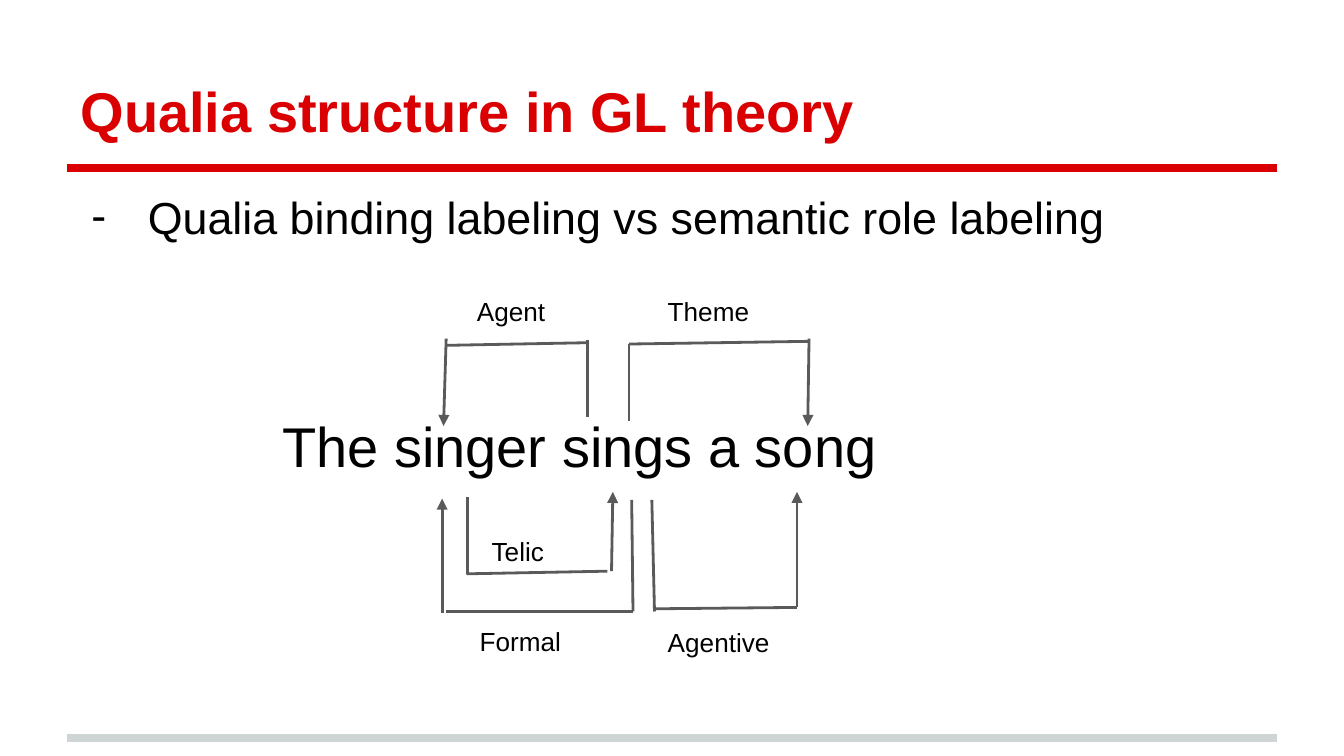
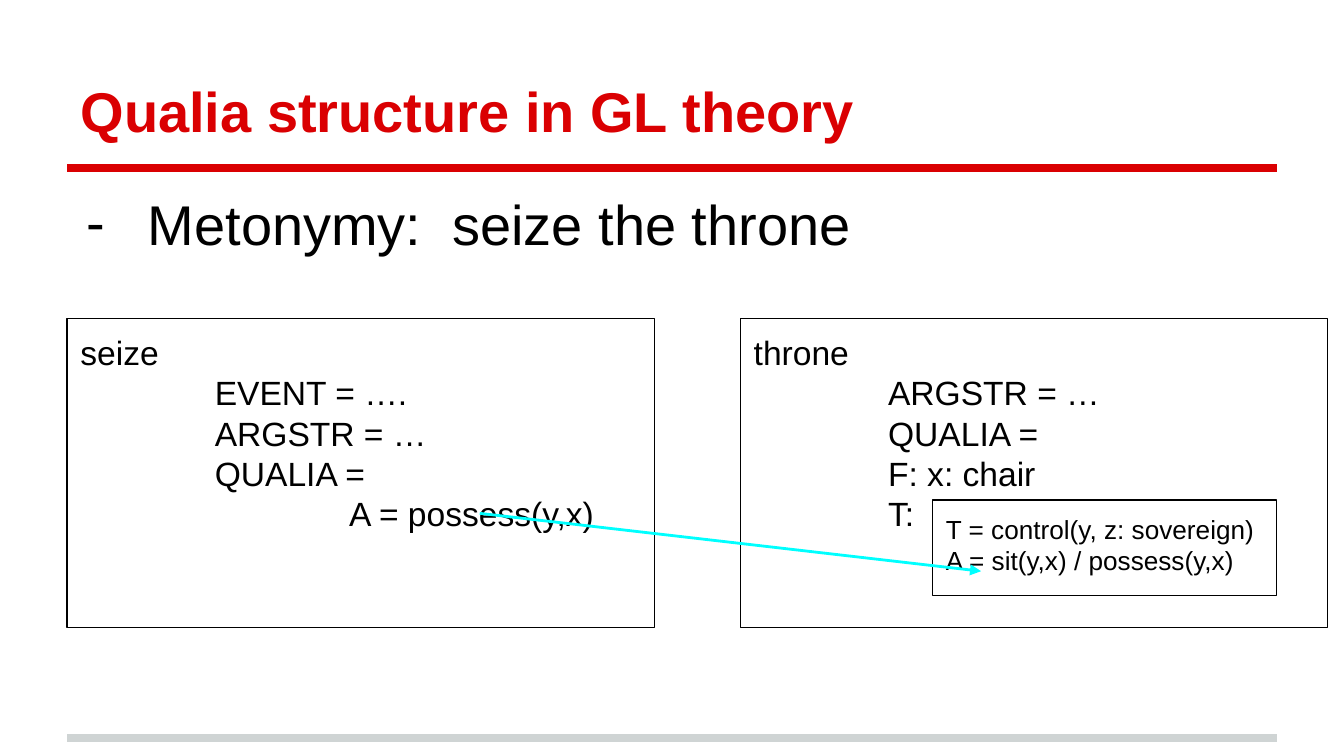
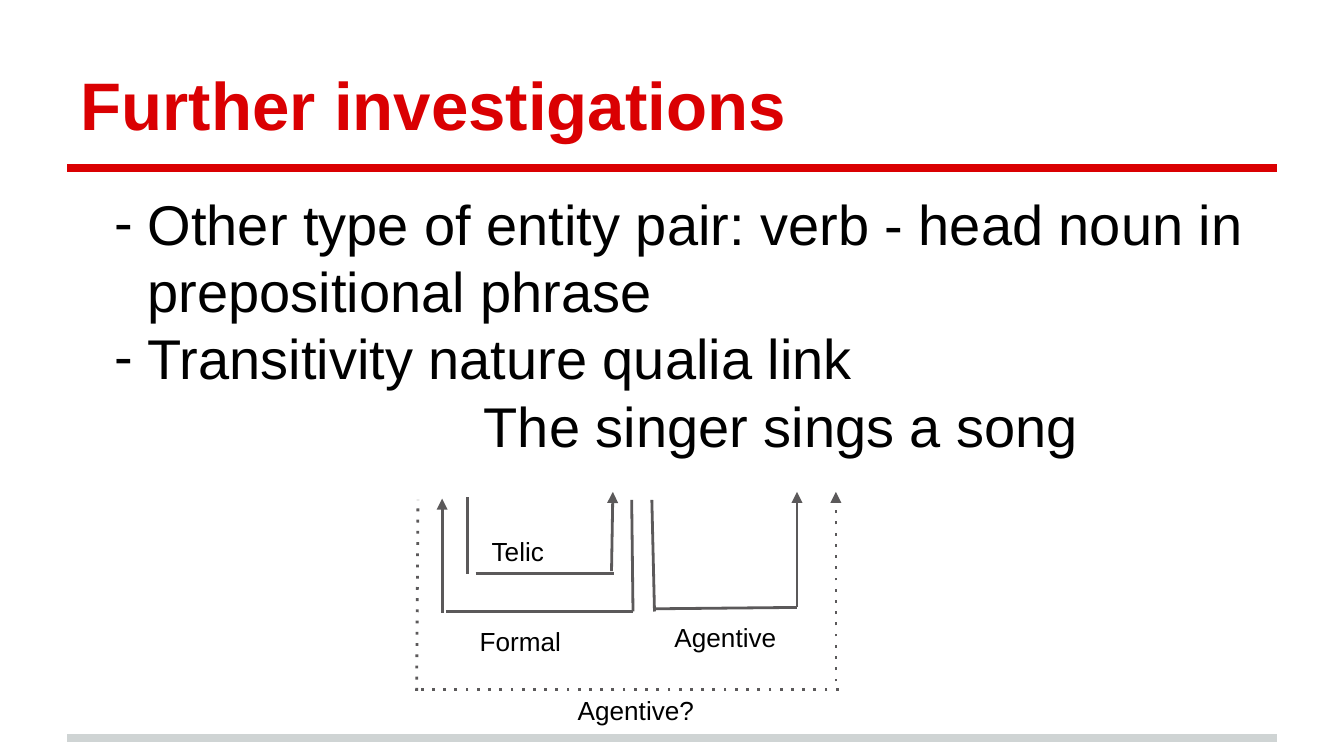
from lxml import etree
from pptx import Presentation
from pptx.dml.color import RGBColor
from pptx.enum.shapes import MSO_CONNECTOR, MSO_SHAPE
from pptx.enum.text import MSO_ANCHOR, MSO_AUTO_SIZE, PP_ALIGN
from pptx.oxml.ns import qn
from pptx.util import Inches, Pt

RED = RGBColor(0xDA, 0x00, 0x02)
PALE = RGBColor(0xCF, 0xD4, 0xD4)
GRAY = RGBColor(0x5B, 0x59, 0x5A)
CYAN = RGBColor(0x00, 0xFF, 0xFF)
BLACK = RGBColor(0, 0, 0)
FONT = "Arial"
STRAIGHT = MSO_CONNECTOR.STRAIGHT
RECT = MSO_SHAPE.RECTANGLE
TOP, BOTTOM = MSO_ANCHOR.TOP, MSO_ANCHOR.BOTTOM
LEFT = PP_ALIGN.LEFT
FIXED = MSO_AUTO_SIZE.NONE

WIDE, HIGH = 10, 5.625
EDGE, SPAN = WIDE * 0.05, WIDE * 0.9
RULES = [(1.25, RED), (5.49, PALE)]
FRAMES = [(EDGE, 0.23, SPAN, 0.94), (EDGE, 1.31, SPAN, 4.07)]

SONG = "The singer sings a song"
QUALIA = "Qualia structure in GL theory"
# text, size, margin, indent, space before
PAGES = [
    (QUALIA, 30, [
        ("Qualia binding labeling vs semantic role labeling", 24, 0.5, -0.42, 6),
        (SONG, 30, 1, 0.5, 90)]),
    (QUALIA, 30, [("Metonymy:  seize the throne", 30, 0.5, -0.46, 6)]),
    ("Further investigations", 36, [
        ("Other type of entity pair: verb - head noun in prepositional phrase",
         30, 0.5, -0.25, 0),
        ("Transitivity nature qualia link", 30, 0.5, -0.25, 0),
        (SONG, 30, 3, 0, 0)]),
]

LOW = [
    ((3.32, 4.55), (4.71, 4.55)), ((4.7, 3.72), (4.71, 4.55)),
    ((4.85, 3.72), (4.87, 4.55)), ((4.87, 4.53), (5.93, 4.52)),
    ((3.48, 3.7), (3.48, 4.27)),
]
LOW_TIPS = [
    ((3.29, 4.56), (3.29, 3.71)), ((5.93, 4.52), (5.93, 3.66)),
    ((4.55, 4.25), (4.56, 3.66)),
]
HIGH_ROLES = [
    ((4.68, 2.56), (4.68, 3.13)), ((3.32, 2.57), (4.37, 2.55)),
    ((4.68, 2.56), (6.02, 2.54)), ((4.37, 2.53), (4.37, 3.1)),
]
HIGH_TIPS = [((3.32, 2.52), (3.3, 3.17)), ((6.02, 2.52), (6.01, 3.17))]
TELIC = [((3.47, 4.27), (4.52, 4.25)), ((3.54, 4.27), (4.57, 4.27))]
DOTS = [((6.24, 5.13), (3.1, 5.13)), ((3.1, 5.14), (3.11, 3.72))]
DOT_TIP = ((6.22, 5.07), (6.22, 3.66))

NAMES = [("Formal", 3.47, 4.55, 0.91), ("Telic", 3.56, 3.88, 0.91)]
ROLES = [("Agent", 3.45, 2.1, 0.78), ("Theme", 4.87, 2.1, 0.96),
         ("Agentive", 4.87, 4.56, 1.06)]
GUESS = [("Agentive", 4.92, 4.52, 1.06), ("Agentive?", 4.2, 5.07, 1.33)]

BOXES = [
    ((0.5, 2.37, 4.37, 2.3), 18, [
        ("seize", 0), ("EVENT = ….", 1), ("ARGSTR = …", 1),
        ("QUALIA =", 1), ("A = possess(y,x)", 2)]),
    ((5.51, 2.37, 4.37, 2.3), 18, [
        ("throne", 0), ("ARGSTR = …", 1), ("QUALIA =", 1),
        ("F: x: chair", 1), ("T:", 1)]),
    ((6.94, 3.72, 2.56, 0.71), 14, [
        ("T = control(y, z: sovereign)", 0),
        ("A = sit(y,x) / possess(y,x)", 0)]),
]
BIND = ((3.57, 3.82), (7.3, 4.25))


def place(shape, frame):
    shape.left, shape.top, shape.width, shape.height = map(Inches, frame)


def setup(shape, anchor=TOP):
    frame = shape.text_frame
    frame.word_wrap = True
    frame.auto_size = FIXED
    frame.vertical_anchor = anchor
    frame.margin_left = frame.margin_right = Inches(0.1)
    frame.margin_top = frame.margin_bottom = Inches(0.1)
    return frame


def style(para, size, color=BLACK, bold=False):
    para.alignment = LEFT
    for run in para.runs:
        font = run.font
        font.name, font.size, font.bold = FONT, Pt(size), bold
        font.color.rgb = color


def indent(para, margin, first=0):
    props = para._p.get_or_add_pPr()
    props.set("marL", str(Inches(margin)))
    props.set("indent", str(Inches(first)))
    return props


def mark(props, dash):
    if not dash:
        etree.SubElement(props, qn("a:buNone"))
        return
    tint = etree.SubElement(props, qn("a:buClr"))
    etree.SubElement(tint, qn("a:srgbClr"), val=str(BLACK))
    etree.SubElement(props, qn("a:buFont"), typeface=FONT)
    etree.SubElement(props, qn("a:buChar"), char="-")


def link(slide, ends, color=GRAY, width=1.5, tip=False, dots=False):
    start, end = ends
    line = slide.shapes.add_connector(STRAIGHT, *map(Inches, start + end))
    line.line.color.rgb = color
    line.line.width = Pt(width)
    stroke = line.line._get_or_add_ln()
    if dots:
        etree.SubElement(stroke, qn("a:prstDash"), val="dot")
    if tip:
        etree.SubElement(stroke, qn("a:tailEnd"), type="triangle")
    etree.SubElement(line._element.spPr, qn("a:effectLst"))


def label(slide, text, left, top, width):
    box = slide.shapes.add_textbox(*map(Inches, (left, top, width, 0.42)))
    frame = setup(box)
    frame.text = text
    style(frame.paragraphs[0], 14)


def panel(slide, frame, size, rows):
    box = slide.shapes.add_shape(RECT, *map(Inches, frame))
    box.shadow.inherit = False
    box.fill.background()
    box.line.color.rgb = BLACK
    box.line.width = Pt(0.75)
    body = setup(box)
    body.text = "\n".join(text for text, _ in rows)
    for para, (_, level) in zip(body.paragraphs, rows):
        indent(para, level)
        style(para, size)


def base(deck, title, size, items):
    slide = deck.slides.add_slide(deck.slide_layouts[1])
    for y, color in RULES:
        link(slide, ((EDGE, y), (EDGE + SPAN, y)), color, 4)
    head, body = slide.placeholders
    for shape, frame in zip((head, body), FRAMES):
        place(shape, frame)
    frame = setup(head, BOTTOM)
    frame.text = title
    style(frame.paragraphs[0], size, RED, True)
    frame = setup(body)
    frame.text = "\n".join(item[0] for item in items)
    for para, (_, size, margin, first, gap) in zip(frame.paragraphs, items):
        style(para, size)
        para.space_before = Pt(gap)
        mark(indent(para, margin, first), first < 0)
    return slide


def graph(slide, lines, tips, names):
    for ends in LOW + lines:
        link(slide, ends)
    for ends in LOW_TIPS + tips:
        link(slide, ends, tip=True)
    for name in NAMES + names:
        label(slide, *name)


def main():
    deck = Presentation()
    deck.slide_width, deck.slide_height = Inches(WIDE), Inches(HIGH)
    roles, throne, plans = [base(deck, *page) for page in PAGES]
    graph(roles, HIGH_ROLES + TELIC[:1], HIGH_TIPS, ROLES)
    for box in BOXES:
        panel(throne, *box)
    link(throne, BIND, CYAN, tip=True)
    graph(plans, TELIC[1:], [], GUESS)
    for ends in DOTS:
        link(plans, ends, dots=True)
    link(plans, DOT_TIP, tip=True, dots=True)
    deck.save("out.pptx")


if __name__ == "__main__":
    main()
